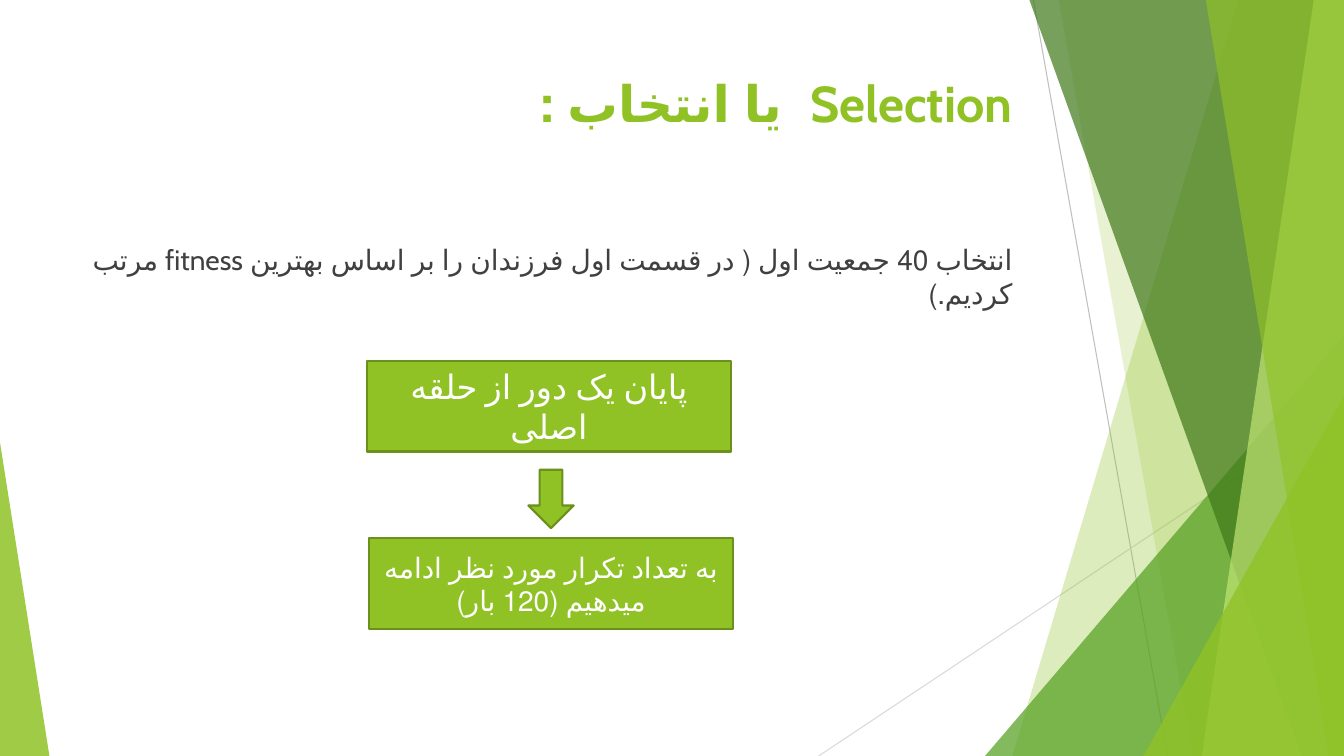
from dataclasses import dataclass

from lxml.etree import SubElement
from pptx import Presentation
from pptx.dml.color import RGBColor
from pptx.enum.lang import MSO_LANGUAGE_ID
from pptx.enum.shapes import MSO_CONNECTOR, MSO_SHAPE
from pptx.enum.text import MSO_ANCHOR, PP_ALIGN
from pptx.oxml.ns import qn
from pptx.util import Inches, Pt


@dataclass(frozen=True)
class Theme:
    """Colours, font and type sizes of the slide."""
    lime: str = "90C226"
    lime_edge: str = "6B901C"
    pale_lime: str = "C0E474"
    green: str = "54A021"
    forest: str = "3F7819"
    rule_dark: str = "BFBFBF"
    rule_light: str = "D9D9D9"
    ink: str = "404040"
    white: str = "FFFFFF"
    font: str = "Cabin"
    title: int = 36
    step: int = 24
    body: int = 20


THEME = Theme()
WIDTH, HEIGHT = 13.33, 7.5


def paint(shape, colour, opacity=100, edge=None):
    """Give a shape a flat fill and an optional edge."""
    shape.shadow.inherit = False
    shape.fill.solid()
    shape.fill.fore_color.rgb = RGBColor.from_string(colour)
    if opacity < 100:
        solid = shape.fill._xPr.find(qn("a:solidFill"))
        SubElement(solid[0], qn("a:alpha")).set("val", str(opacity * 1000))
    if edge:
        shape.line.color.rgb = RGBColor.from_string(edge)
        shape.line.width = Pt(1.5)
    else:
        shape.line.fill.background()


def write(shape, text, size, colour, align, bold=False, rtl=False):
    """Put one styled Persian paragraph into a shape."""
    frame = shape.text_frame
    frame.word_wrap = True
    frame.text = text
    paragraph = frame.paragraphs[0]
    paragraph.alignment = align
    if rtl:
        paragraph._p.get_or_add_pPr().set("rtl", "1")
    for run in paragraph.runs:
        run.font.name = THEME.font
        run.font.size = Pt(size)
        run.font.bold = bold
        run.font.color.rgb = RGBColor.from_string(colour)
        run.font.language_id = MSO_LANGUAGE_ID.FARSI


def add_rule(slide, start, end, colour):
    """Draw a thin background line."""
    rule = slide.shapes.add_connector(
        MSO_CONNECTOR.STRAIGHT, *(Inches(v) for v in (*start, *end)))
    rule.line.color.rgb = RGBColor.from_string(colour)
    rule.line.width = Pt(0.75)
    SubElement(rule._element.spPr, qn("a:effectLst"))


def add_band(slide, top_left, bottom_left, colour, opacity):
    """Draw a full-height band from a slanted left side to the slide edge."""
    builder = slide.shapes.build_freeform(Inches(top_left), 0, scale=1.0)
    corners = ((WIDTH, 0), (WIDTH, HEIGHT), (bottom_left, HEIGHT))
    builder.add_line_segments([(Inches(x), Inches(y)) for x, y in corners])
    paint(builder.convert_to_shape(), colour, opacity)


def add_corner(slide, left, width, height, apex, colour, opacity):
    """Draw a triangle standing on the bottom edge of the slide."""
    corner = slide.shapes.add_shape(
        MSO_SHAPE.ISOSCELES_TRIANGLE, Inches(left), Inches(HEIGHT - height),
        Inches(width), Inches(height))
    corner.adjustments[0] = apex
    paint(corner, colour, opacity)


def add_backdrop(slide):
    """Layer the green facets along the slide's sides."""
    add_rule(slide, (10.25, 0), (11.58, HEIGHT), THEME.rule_dark)
    add_rule(slide, (WIDTH, 4.03), (8.12, HEIGHT), THEME.rule_light)
    add_band(slide, 12.28, 10.04, THEME.lime, 30)
    add_band(slide, 10.5, 11.83, THEME.lime, 20)
    add_corner(slide, 9.77, 3.56, 4.17, 1, THEME.green, 72)
    add_band(slide, 10.21, 12.91, THEME.forest, 70)
    add_band(slide, 13.03, 11.92, THEME.pale_lime, 70)
    add_band(slide, 11.96, 13.18, THEME.lime, 65)
    add_corner(slide, 11.34, 1.99, 3.57, 1, THEME.lime, 80)
    add_corner(slide, 0, 0.49, 3.11, 0, THEME.lime, 85)


def add_heading(slide, left, top, width):
    """Place the title and the explanation below it."""
    title = slide.shapes.add_textbox(
        Inches(left), Inches(top), Inches(width), Inches(1.44))
    write(title, "Selection  یا انتخاب :", THEME.title, THEME.lime,
          PP_ALIGN.RIGHT, bold=True, rtl=True)
    explanation = slide.shapes.add_textbox(
        Inches(left), Inches(top + 1.69), Inches(width), Inches(1))
    write(explanation,
          "انتخاب 40 جمعیت اول ( در قسمت اول فرزندان را بر اساس بهترین fitness مرتب کردیم.)",
          THEME.body, THEME.ink, PP_ALIGN.RIGHT, rtl=True)


def add_step(slide, left, top, text, size):
    """Draw one box of the flow."""
    step = slide.shapes.add_shape(
        MSO_SHAPE.RECTANGLE, Inches(left), Inches(top), Inches(3.61), Inches(0.9))
    paint(step, THEME.lime, edge=THEME.lime_edge)
    step.text_frame.vertical_anchor = MSO_ANCHOR.MIDDLE
    write(step, text, size, THEME.white, PP_ALIGN.CENTER)


def add_flow(slide, left, top):
    """Draw the two loop steps with the arrow between them."""
    add_step(slide, left, top, "پایان یک دور از حلقه اصلی", THEME.step)
    arrow = slide.shapes.add_shape(
        MSO_SHAPE.DOWN_ARROW, Inches(left + 1.6), Inches(top + 1.08),
        Inches(0.45), Inches(0.58))
    paint(arrow, THEME.lime, edge=THEME.lime_edge)
    add_step(slide, left + 0.02, top + 1.76,
             "به تعداد تکرار مورد نظر ادامه میدهیم (120 بار)", THEME.body)


def main():
    """Build and save the slide."""
    deck = Presentation()
    deck.slide_width, deck.slide_height = Inches(WIDTH), Inches(HEIGHT)
    slide = deck.slides.add_slide(deck.slide_layouts[6])
    add_backdrop(slide)
    add_heading(slide, 0.74, 0.67, 9.4)
    add_flow(slide, 3.64, 3.58)
    deck.save("out.pptx")


if __name__ == "__main__":
    main()
